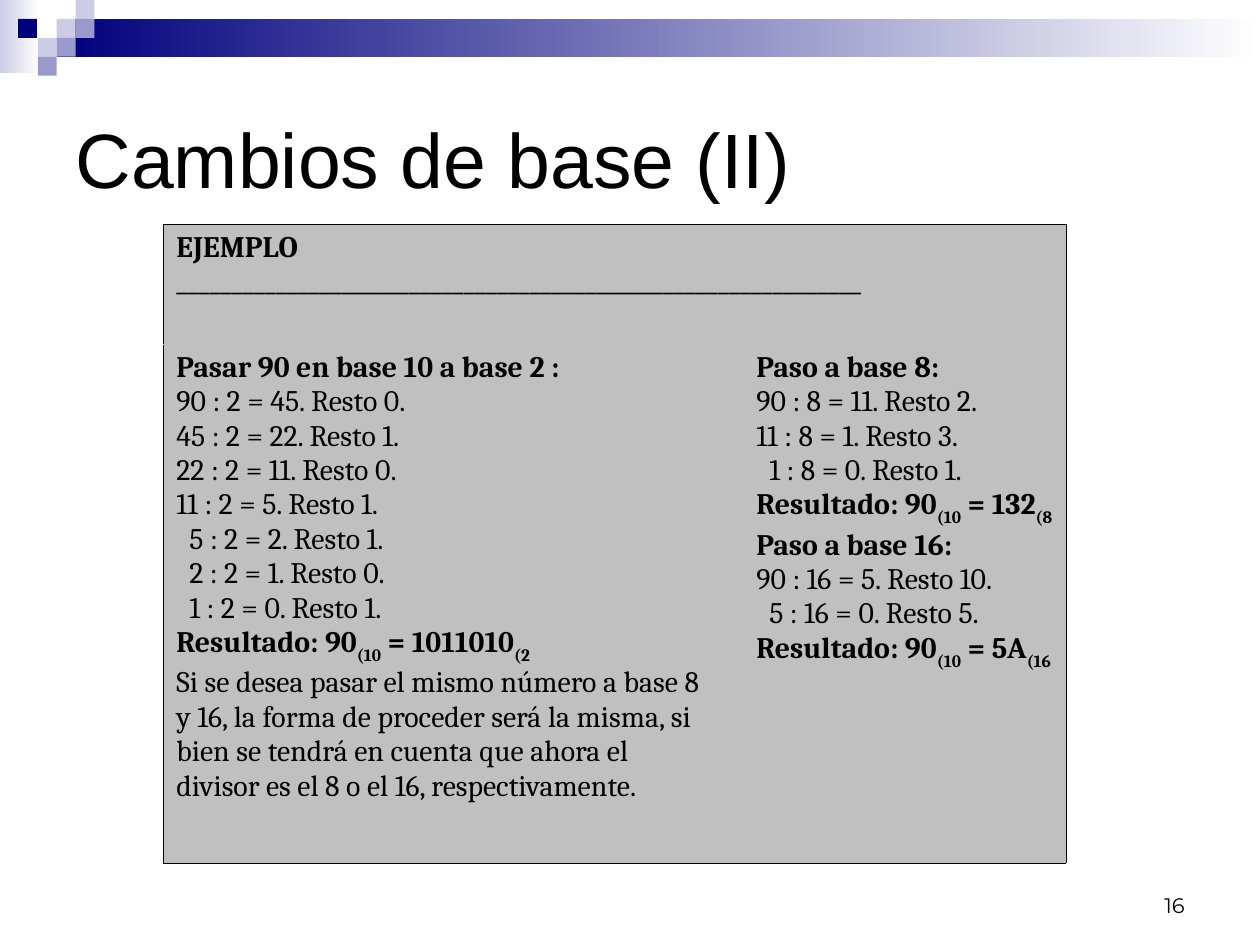
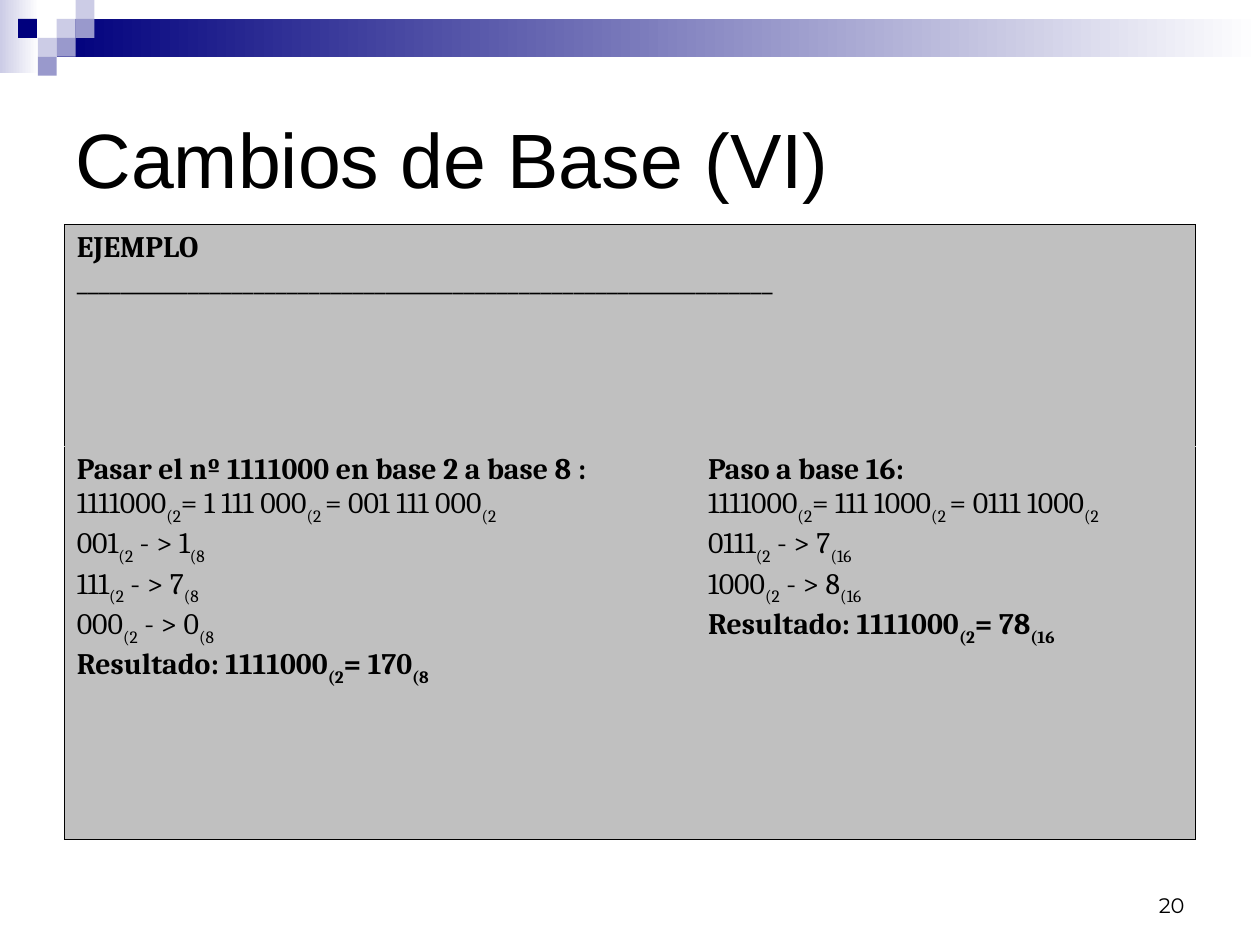
from dataclasses import dataclass

from lxml import etree
from pptx import Presentation
from pptx.dml.color import RGBColor
from pptx.enum import shapes, text
from pptx.oxml import ns
from pptx.util import Pt

# In table lines: "*" starts a bold line, ">" an indented one,
# and every second part between bars is a subscript.
SLIDES = [
    dict(
        title="Cambios de base (II)", number="16",
        left=93.6, columns=(324, 191.5), rows=(68.4, 296.6), right_shift=7.4,
        header=["*EJEMPLO", "_" * 62],
        cells=[
            ["*Pasar 90 en base 10 a base 2 :",
             "90 : 2 = 45. Resto 0.",
             "45 : 2 = 22. Resto 1.",
             "22 : 2 = 11. Resto 0.",
             "11 : 2 = 5. Resto 1.",
             ">5 : 2 = 2. Resto 1.",
             ">2 : 2 = 1. Resto 0.",
             ">1 : 2 = 0. Resto 1.",
             "*Resultado: 90|(10| = 1011010|(2",
             "Si se desea pasar el mismo número a base 8 y 16, la forma de "
             "proceder será la misma, si bien se tendrá en cuenta que ahora "
             "el divisor es el 8 o el 16, respectivamente."],
            ["*Paso a base 8:",
             "90 : 8 = 11. Resto 2.",
             "11 : 8 = 1. Resto 3.",
             ">1 : 8 = 0. Resto 1.",
             "*Resultado: 90|(10| = 132|(8",
             "*Paso a base 16:",
             "90 : 16 = 5. Resto 10.",
             ">5 : 16 = 0. Resto 5.",
             "*Resultado: 90|(10| = 5A|(16"],
        ],
    ),
    dict(
        title="Cambios de Base (VI)", number="20",
        left=36.7, columns=(360.7, 285.8), rows=(126.7, 224.6), right_shift=0,
        header=["*EJEMPLO", "_" * 63],
        cells=[
            ["*Pasar el nº 1111000 en base 2 a base 8 :",
             "1111000|(2|= 1 111 000|(2 |= 001 111 000|(2",
             "001|(2| - > 1|(8",
             "111|(2| - > 7|(8",
             "000|(2| - > 0|(8",
             "*Resultado: 1111000|(2|= 170|(8"],
            ["*Paso a base 16:",
             "1111000|(2|= 111 1000|(2 |= 0111 1000|(2",
             "0111|(2| - > 7|(16",
             "1000|(2| - > 8|(16",
             "*Resultado: 1111000|(2|= 78|(16"],
        ],
    ),
]


@dataclass(frozen=True)
class Theme:
    navy: str = "00007D"
    lilac: str = "9999CC"
    pale: str = "CCCCE6"
    white: str = "FFFFFF"
    ink: str = "000000"
    panel: str = "C0C0C0"
    title: tuple = ("Arial", 44)
    body: tuple = ("Cambria", 17)
    number: tuple = ("Montserrat", 12)
    border: float = 0.45
    inset: float = 7.2
    indent: float = 7.4


THEME = Theme()
SQUARE = 10.8
FADES = [((0, 0, 22.3, 41.8), THEME.pale), ((32.4, 10.8, 687.6, 21.6), THEME.navy)]
SQUARES = [(32.4, 10.8, THEME.pale), (43.2, 0, THEME.pale), (43.2, 10.8, THEME.lilac),
           (21.6, 21.6, THEME.pale), (10.3, 10.8, THEME.navy),
           (32.4, 21.6, THEME.lilac), (21.6, 32.4, THEME.lilac)]


def rgb(colour):
    return RGBColor.from_string(colour)


def apply(target, values):
    for name, value in values.items():
        setattr(target, name, value)


def style(font, face, bold=False):
    name, size = face
    apply(font, dict(name=name, size=Pt(size), bold=bold))
    font.color.rgb = rgb(THEME.ink)


def place(shape, left, top, width, height):
    apply(shape, dict(left=Pt(left), top=Pt(top), width=Pt(width), height=Pt(height)))


def add_band(page):
    group = page.shapes.add_group_shape()

    def add_block(*bounds):
        block = group.shapes.add_shape(shapes.MSO_SHAPE.RECTANGLE, *map(Pt, bounds))
        block.shadow.inherit = False
        block.line.fill.background()
        return block

    for bounds, colour in FADES:
        fill = add_block(*bounds).fill
        fill.gradient()
        fill.gradient_angle = 0
        for stop, shade in zip(fill.gradient_stops, (colour, THEME.white)):
            stop.color.rgb = rgb(shade)
    for left, top, colour in SQUARES:
        fill = add_block(left, top, SQUARE, SQUARE).fill
        fill.solid()
        fill.fore_color.rgb = rgb(colour)


def add_title(page, words):
    title = page.shapes.title
    place(title, 36, 36, 648, 108)
    title.text_frame.text = words
    title.text_frame.vertical_anchor = text.MSO_ANCHOR.MIDDLE
    para = title.text_frame.paragraphs[0]
    para.alignment = text.PP_ALIGN.LEFT
    style(para.runs[0].font, THEME.title)


def add_number(page, number):
    box = page.shapes.add_textbox(Pt(516), Pt(492), Pt(168), Pt(36))
    apply(box.text_frame, dict(word_wrap=True, text=number,
                               vertical_anchor=text.MSO_ANCHOR.BOTTOM))
    para = box.text_frame.paragraphs[0]
    para.alignment = text.PP_ALIGN.RIGHT
    style(para.runs[0].font, THEME.number)


def write_lines(cell, lines, alignment):
    frame = cell.text_frame
    for index, line in enumerate(lines):
        para = frame.add_paragraph() if index else frame.paragraphs[0]
        para.alignment = alignment
        if line.startswith(">"):
            properties = para._p.get_or_add_pPr()
            properties.set("marL", str(Pt(THEME.indent)))
            properties.set("indent", "0")
        for part, words in enumerate(line.lstrip("*>").split("|")):
            span = para.add_run()
            span.text = words
            style(span.font, THEME.body, line.startswith("*"))
            if part % 2:
                span._r.get_or_add_rPr().set("baseline", "-30000")


def paint_cell(cell, outer_sides):
    """Fill a cell; outer sides get a dark border, inner ones the panel colour."""
    cell.fill.solid()
    cell.fill.fore_color.rgb = rgb(THEME.panel)
    properties = cell._tc.get_or_add_tcPr()
    for index, side in enumerate("LRTB"):
        line = etree.Element(ns.qn(f"a:ln{side}"), w=str(Pt(THEME.border)))
        fill = etree.SubElement(line, ns.qn("a:solidFill"))
        colour = THEME.ink if side in outer_sides else THEME.panel
        etree.SubElement(fill, ns.qn("a:srgbClr"), val=colour)
        properties.insert(index, line)


def add_example(page, content):
    columns, rows = content["columns"], content["rows"]
    bounds = content["left"], 128.2, sum(columns), sum(rows)
    table = page.shapes.add_table(2, 2, *map(Pt, bounds)).table
    apply(table, dict(first_row=False, horz_banding=False))
    for column, width in zip(table.columns, columns):
        column.width = Pt(width)
    for row, height in zip(table.rows, rows):
        row.height = Pt(height)
    table.cell(0, 0).merge(table.cell(0, 1))
    for column in range(2):
        paint_cell(table.cell(0, column), "LRT")
        paint_cell(table.cell(1, column), "LR"[column] + "B")

    write_lines(table.cell(0, 0), content["header"], text.PP_ALIGN.LEFT)
    alignments = text.PP_ALIGN.LEFT, text.PP_ALIGN.JUSTIFY
    for column, lines in enumerate(content["cells"]):
        write_lines(table.cell(1, column), lines, alignments[column])
    shift = content["right_shift"]
    apply(table.cell(1, 1), dict(margin_left=Pt(THEME.inset + shift),
                                 margin_right=Pt(THEME.inset - shift / 2)))


def main():
    deck = Presentation()
    apply(deck, dict(slide_width=Pt(720), slide_height=Pt(540)))
    title_only = deck.slide_layouts[5]
    for content in SLIDES:
        page = deck.slides.add_slide(title_only)
        add_band(page)
        add_number(page, content["number"])
        add_title(page, content["title"])
        add_example(page, content)
    deck.save("out.pptx")


if __name__ == "__main__":
    main()
